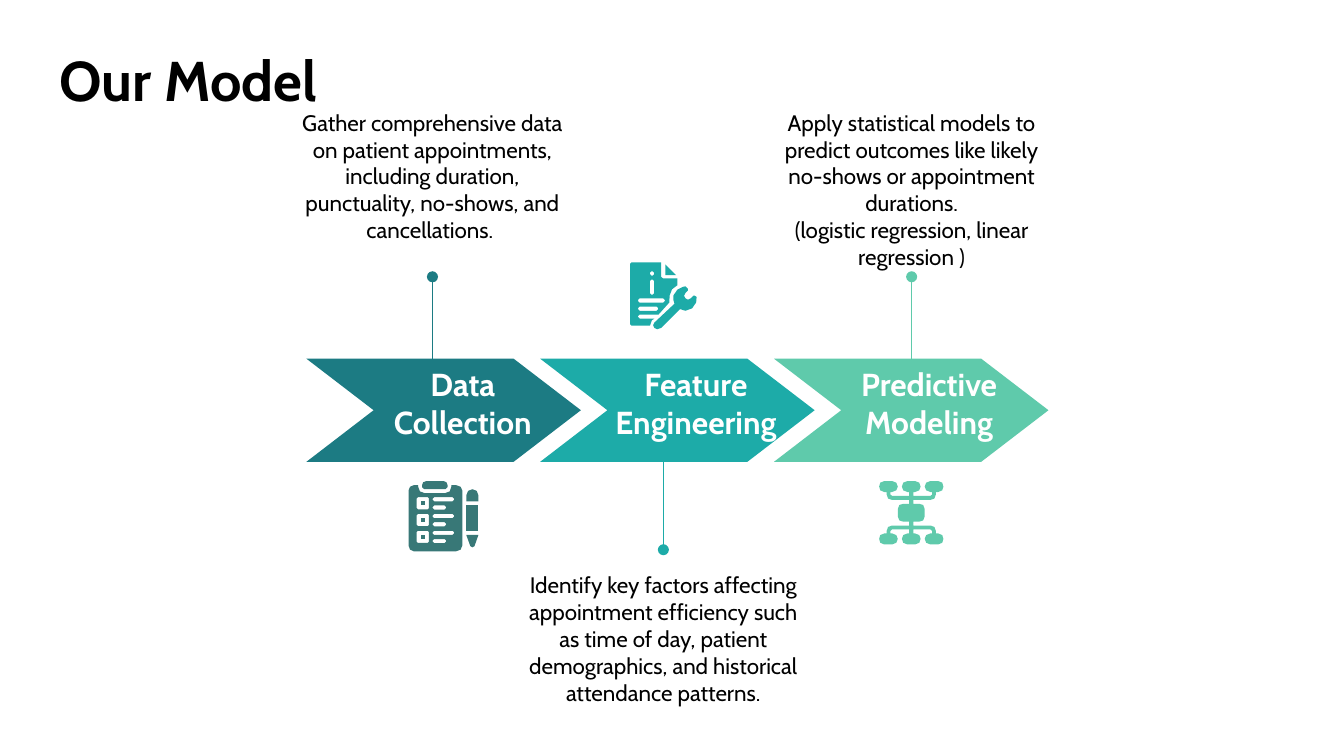
from dataclasses import dataclass

from lxml.etree import SubElement
from pptx import Presentation
from pptx.dml.color import RGBColor
from pptx.enum.shapes import MSO_CONNECTOR, MSO_SHAPE
from pptx.enum.text import PP_ALIGN
from pptx.oxml.ns import qn
from pptx.shapes.shapetree import GroupShapes
from pptx.slide import Slide
from pptx.util import Pt

COLORS = {
    "ink": "000000",
    "paper": "FFFFFF",
    "collection": "1C7B83",
    "engineering": "1DABA8",
    "modeling": "5FCAAB",
    "clipboard": "387877",
}
TEXT_FORMATS = {
    "title": {"name": "Cabin", "size": Pt(30), "bold": True},
    "label": {"name": "Cabin", "size": Pt(17), "bold": True},
    "description": {"name": "Cabin", "size": Pt(12), "bold": False},
}
CHEVRON_LEFT, CHEVRON_STEP = 164.2, 125.25
CHEVRON_TOP, CHEVRON_WIDTH, CHEVRON_HEIGHT = 192.2, 147, 55.2
CHEVRON_POINT = 36
LABEL_LEFT, LABEL_STEP = 193.6, 124.9
DESCRIPTION_WIDTH = 162

Box = tuple[float, float, float, float]
Outline = tuple[tuple[float, float], ...]


@dataclass(frozen=True)
class Stage:
    label: str
    color: str
    marker_x: float
    marker_start: float
    marker_end: float
    description_top: float
    description: tuple[str, ...]


STAGES = (
    Stage("Data Collection", "collection", 231.7, 196, 148.3, 51.1,
          ("Gather comprehensive data on patient appointments, including duration, "
           "punctuality, no-shows, and cancellations. ",)),
    Stage("Feature Engineering", "engineering", 355.4, 243.4, 294.5, 298.8,
          ("Identify key factors affecting appointment efficiency such as time of day, "
           "patient demographics, and historical attendance patterns.",)),
    Stage("Predictive Modeling", "modeling", 488.4, 196, 148.3, 51.1,
          ("Apply statistical models to predict outcomes like likely no-shows or "
           "appointment durations.",
           "(logistic regression, linear regression )")),
)

BOARD = (
    (221.8, 259.9), (224, 259.9), (224, 260.6), (225, 263.3), (227.5, 264.2),
    (238.5, 264.2), (241, 263.3), (241.9, 260.6), (241.9, 259.9), (244.3, 259.9),
    (246.8, 260.8), (247.7, 262.8), (247.7, 292.3), (246.8, 294.5), (244.3, 295.4),
    (221.8, 295.4), (219.7, 294.5), (218.9, 292.3), (218.9, 262.8), (219.7, 260.8),
)
CLIP = (
    (228.2, 257.8), (237.8, 257.8), (239.2, 258.4), (239.8, 259.9), (239.8, 261),
    (238.7, 262.1), (227.3, 262.1), (226.1, 261), (226.1, 259.9), (226.7, 258.4),
)
PEN_CAP = ((253.1, 262.1), (255.4, 263), (256.3, 265.4), (256.3, 268.6),
           (249.8, 268.6), (249.8, 265.4), (250.8, 263))
PEN_TIP = ((249.8, 286.6), (256.3, 286.6), (254.2, 292.6), (253.1, 293.2), (252, 292.6))
PAGE = (
    (337.6, 141.2), (338.4, 140.5), (354.2, 140.5), (354.2, 148.3), (355.2, 149.2),
    (362.9, 149.2), (362.9, 152.8), (360, 155), (358.7, 158.4), (358.6, 162),
    (352.8, 168.5), (342.7, 168.5), (341.6, 169.6), (342.7, 170.7), (350.6, 170.7),
    (349.2, 171.6), (348.2, 174.5), (338.4, 174.5), (337.6, 173.8),
)
FOLD = ((356.4, 141.6), (356.4, 147.4), (362.2, 147.4))
WRENCH = (
    (367.2, 153.4), (365.8, 153.7), (362.9, 155.2), (360.7, 158.4), (360.7, 160.6),
    (361.4, 162.7), (350.6, 172.8), (349.9, 174.2), (350.6, 175.7), (352.1, 176.4),
    (354.2, 175.7), (364.3, 165.6), (367.2, 166.5), (370.8, 165.2), (373, 162),
    (373.2, 159.1), (372.2, 158.4), (371.5, 158.4), (370.1, 159.8), (368.6, 160.6),
    (367.2, 159.8), (366.5, 158.4), (367.2, 157), (368.6, 155.5), (368.6, 154.8),
    (367.9, 154.1),
)
NETWORK_CENTER = (488.2, 274.7)
NETWORK_QUARTER = (
    (2, -17), (4.3, -16.1), (5, -14), (4.3, -12), (2, -11.1), (1.1, -11.1), (1.1, -9),
    (10.3, -9), (11.2, -9.8), (11.2, -11.1), (10.3, -11.1), (8, -12), (7.2, -14),
    (8, -16.1), (10.3, -17), (14.4, -17), (16.6, -16.1), (17.2, -14), (16.6, -12),
    (14.4, -11.1), (13.2, -11.1), (13.2, -9.8), (12.4, -7.6), (10.3, -6.9),
    (1.1, -6.9), (1.1, -4.8), (4.3, -4.8), (6.4, -4.1), (7.2, -1.9),
)


def rgb(color: str) -> RGBColor:
    return RGBColor.from_string(COLORS[color])


def paint(shape, color: str) -> None:
    shape.fill.solid()
    shape.fill.fore_color.rgb = rgb(color)
    shape.line.fill.background()
    shape.shadow.inherit = False


def rectangle(left: float, top: float, width: float, height: float,
              cut: float = 0) -> Outline:
    """Return the corners of a rectangle, each trimmed by cut."""
    right, bottom = left + width, top + height
    if not cut:
        return (left, top), (right, top), (right, bottom), (left, bottom)
    return ((left + cut, top), (right - cut, top), (right, top + cut),
            (right, bottom - cut), (right - cut, bottom), (left + cut, bottom),
            (left, bottom - cut), (left, top + cut))


def add_outline(icon: GroupShapes, color: str, outer: Outline, *holes: Outline) -> None:
    start, *corners = [tuple(map(Pt, point)) for point in outer]
    builder = icon.build_freeform(*start)
    builder.add_line_segments(corners, close=True)
    for hole in holes:
        start, *corners = [tuple(map(Pt, point)) for point in hole]
        builder.move_to(*start)
        builder.add_line_segments(corners, close=True)
    paint(builder.convert_to_shape(), color)


def add_text(slide: Slide, paragraphs: tuple[str, ...], box: Box, style: str,
             color: str = "ink", align: PP_ALIGN = PP_ALIGN.CENTER) -> None:
    frame = slide.shapes.add_textbox(*map(Pt, box)).text_frame
    frame.word_wrap = True
    for side in ("left", "right", "top", "bottom"):
        setattr(frame, f"margin_{side}", Pt(7.2))
    for index, text in enumerate(paragraphs):
        paragraph = frame.paragraphs[0] if index == 0 else frame.add_paragraph()
        paragraph.alignment = align
        run = paragraph.add_run()
        run.text = text
        for name, value in TEXT_FORMATS[style].items():
            setattr(run.font, name, value)
        run.font.color.rgb = rgb(color)


def add_marker(slide: Slide, stage: Stage) -> None:
    """Draw the thin line from a chevron to its description, ending in a dot."""
    marker = slide.shapes.add_connector(
        MSO_CONNECTOR.STRAIGHT, Pt(stage.marker_x), Pt(stage.marker_start),
        Pt(stage.marker_x), Pt(stage.marker_end))
    marker.line.color.rgb = rgb(stage.color)
    marker.line.width = Pt(0.75)
    SubElement(marker.line._get_or_add_ln(), qn("a:tailEnd"), type="oval")
    SubElement(marker._element.spPr, qn("a:effectLst"))


def add_stage(slide: Slide, stage: Stage, index: int) -> None:
    chevron = slide.shapes.add_shape(
        MSO_SHAPE.CHEVRON, Pt(CHEVRON_LEFT + CHEVRON_STEP * index), Pt(CHEVRON_TOP),
        Pt(CHEVRON_WIDTH), Pt(CHEVRON_HEIGHT))
    chevron.adjustments[0] = CHEVRON_POINT / CHEVRON_HEIGHT
    paint(chevron, stage.color)
    add_marker(slide, stage)
    add_text(slide, stage.description,
             (stage.marker_x - DESCRIPTION_WIDTH / 2, stage.description_top,
              DESCRIPTION_WIDTH, 55.4), "description")
    add_text(slide, (stage.label,), (LABEL_LEFT + LABEL_STEP * index, 188.2, 108.7, 38.9),
             "label", "paper")


def add_clipboard_icon(icon: GroupShapes) -> None:
    holes = []
    for row in range(3):
        top = 266.4 + 9 * row
        holes += [rectangle(223.3, top, 6.5, 6.5, 0.6),
                  rectangle(231.8, top, 11.5, 2.2, 0.8),
                  rectangle(231.8, top + 4.4, 7.2, 2.2, 0.8)]
        add_outline(icon, "clipboard", rectangle(225.4, top + 2.1, 2.3, 2.3))
    add_outline(icon, "clipboard", BOARD, *holes)
    for outline in (CLIP, PEN_CAP, rectangle(249.8, 270.7, 6.5, 13.7), PEN_TIP):
        add_outline(icon, "clipboard", outline)


def add_page_and_wrench_icon(icon: GroupShapes) -> None:
    add_outline(icon, "engineering", PAGE,
                rectangle(348.2, 145.4, 2.2, 2.2, 0.7),
                rectangle(348.2, 149.8, 2.2, 8, 0.7),
                rectangle(341.8, 159.9, 14.4, 2.2, 0.8),
                rectangle(341.8, 164.3, 10.8, 2.2, 0.8))
    add_outline(icon, "engineering", FOLD)
    add_outline(icon, "engineering", WRENCH)


def add_network_icon(icon: GroupShapes) -> None:
    """Mirror one quarter of the diagram down and then across."""
    right = NETWORK_QUARTER + tuple((x, -y) for x, y in reversed(NETWORK_QUARTER))
    whole = right + tuple((-x, y) for x, y in reversed(right))
    center_x, center_y = NETWORK_CENTER
    add_outline(icon, "modeling", tuple((center_x + x, center_y + y) for x, y in whole))


def main() -> None:
    deck = Presentation()
    deck.slide_width, deck.slide_height = Pt(720), Pt(405)
    slide = deck.slides.add_slide(deck.slide_layouts[6])
    for index, stage in enumerate(STAGES):
        add_stage(slide, stage, index)
    add_text(slide, ("Our Model",), (24.9, 17.1, 671, 45), "title", align=PP_ALIGN.LEFT)
    add_clipboard_icon(slide.shapes.add_group_shape().shapes)
    add_page_and_wrench_icon(slide.shapes.add_group_shape().shapes)
    add_network_icon(slide.shapes)
    deck.save("out.pptx")


if __name__ == "__main__":
    main()
